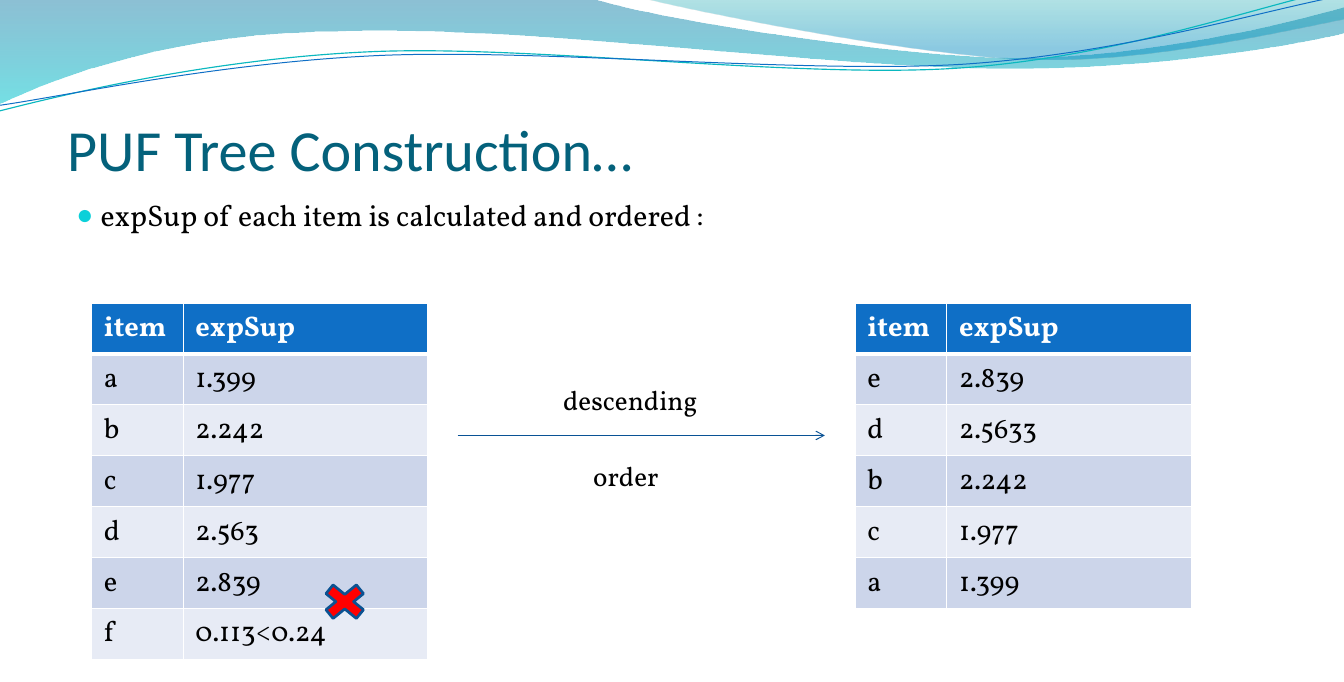
"""Build the PUF tree slide: waves, heading, two item tables and an arrow."""
from lxml import etree
from pptx import Presentation
from pptx.dml.color import RGBColor
from pptx.enum import shapes, text
from pptx.oxml import ns
from pptx.util import Pt

SERIF = "Vollkorn"
HEAD = ("item", "expSup")
TABLES = [
    (67.7, [("a", "1.399"), ("b", "2.242"), ("c", "1.977"), ("d", "2.563"),
            ("e", "2.839"), ("f", "0.113<0.24")]),
    (632.2, [("e", "2.839"), ("d", "2.5633"), ("b", "2.242"), ("c", "1.977"),
             ("a", "1.399")]),
]
COLS = (67.7, 180.7)
TOP, ROW = 223.9, 37.65
BANDS = ("CCD5EA", "E7EBF5")

TITLE = "PUF Tree Construction…"
POINT = "expSup of each item is calculated and ordered :"
LABELS = [("descending", 361.4, 280.1, 55), ("order", 376.6, 336.2, 62)]

BLADES = [
    ([(0, 0), (437.8, -0.7),
      (472.3, 11.5, 659.5, 42.5, 753.8, 42.5),
      (847.4, 42.5, 952.6, 17.3, 993.6, 5.8), (994.3, 24.5),
      (977, 29.5, 864, 51.1, 740.9, 50.4),
      (617.8, 50.4, 379.4, 18.7, 255.6, 23),
      (128.2, 23.8, 45.4, 55.4, -0.7, 76.3)],
     [(0, "0074A1", 45), (100, "00C6CF", 55)]),
    ([(475.9, -0.7),
      (506.2, 7.2, 677.5, 41.8, 763.9, 43.9),
      (850.3, 46.1, 955.4, 21.6, 993.6, 14.4), (993.6, 0)],
     [(0, "00A1A9", 30), (80, "008BBF", 45)]),
]
STRANDS = [
    ([(-0.7, 82.1),
      (47.5, 69.8, 157, 43.2, 275, 38.2),
      (393.1, 33.1, 588.2, 58.3, 707.8, 50.4),
      (827.3, 42.5, 932.4, 3.6, 992.2, -8.6)], "0AB8BF", 0.85),
    ([(0, 77.8),
      (46.8, 71.3, 162.7, 46.1, 281.5, 41),
      (400.3, 36, 593.3, 54.7, 712.1, 47.5),
      (830.9, 39.6, 935.3, 7.2, 994.3, -3.6)], "0F6FC6", 0.75),
]


def rgb(code):
    return RGBColor.from_string(code)


def node(root, tag, **attrs):
    return etree.SubElement(root, ns.qn("a:" + tag), attrs)


def wave(slide, steps, close):
    first, *rest = [tuple(map(Pt, step[-2:])) for step in steps]
    pen = slide.shapes.build_freeform(*first)
    pen.add_line_segments(rest, close=close)
    shape = pen.convert_to_shape()
    legs = list(shape.element.spPr.iter(ns.qn("a:lnTo")))
    for leg, step in zip(legs, steps[1:]):
        if len(step) == 6:
            bend = etree.Element(ns.qn("a:cubicBezTo"))
            for x, y in zip(step[::2], step[1::2]):
                node(bend, "pt", x=str(Pt(x) - shape.left), y=str(Pt(y) - shape.top))
            leg.getparent().replace(leg, bend)
    shape.shadow.inherit = False
    shape.fill.background()
    return shape


def shade(shape, stops):
    shape.line.fill.background()
    shape.fill.gradient()
    grad = shape.element.spPr.find(ns.qn("a:gradFill"))
    for child in list(grad):
        grad.remove(child)
    row = node(grad, "gsLst")
    for pos, code, alpha in stops:
        stop = node(row, "gs", pos=str(pos * 1000))
        node(node(stop, "srgbClr", val=code), "alpha", val=str(alpha * 1000))
    node(grad, "lin", ang="5400000", scaled="0")


def write(para, words, size, font=SERIF, code="000000", bold=False):
    run = para.add_run()
    run.text = words
    run.font.size, run.font.name, run.font.bold = Pt(size), font, bold
    run.font.color.rgb = rgb(code)


def frame(slide, box, pads):
    tf = slide.shapes.add_textbox(*map(Pt, box)).text_frame
    tf.word_wrap = True
    tf.margin_left, tf.margin_top, tf.margin_right, tf.margin_bottom = map(Pt, pads)
    return tf


def edge(cell, row):
    props = cell._tc.get_or_add_tcPr()
    for side in "LRTB":
        thick = (row, side) in ((0, "B"), (1, "T"))
        line = node(props, "ln" + side, w=str(Pt(3 if thick else 1)))
        node(node(line, "solidFill"), "srgbClr", val="FFFFFF")


def grid(slide, left, rows):
    count = len(rows) + 1
    table = slide.shapes.add_table(count, 2, Pt(left), Pt(TOP), Pt(sum(COLS)),
                                   Pt(ROW * count)).table
    for col, width in zip(table.columns, COLS):
        col.width = Pt(width)
    for r, row in enumerate([HEAD] + rows):
        table.rows[r].height = Pt(ROW)
        for c, words in enumerate(row):
            cell = table.cell(r, c)
            cell.margin_left = cell.margin_right = Pt(9.1)
            cell.margin_top = cell.margin_bottom = Pt(4.6)
            edge(cell, r)
            cell.fill.solid()
            cell.fill.fore_color.rgb = rgb(BANDS[(r - 1) % 2] if r else "0F6FC6")
            write(cell.text_frame.paragraphs[0], words, 21,
                  code="000000" if r else "FFFFFF", bold=r == 0)


def bullet(para):
    para.space_before = Pt(4.4)
    props = para._p.get_or_add_pPr()
    props.set("marL", str(Pt(18)))
    props.set("indent", str(Pt(-18)))
    node(node(props, "buClr"), "srgbClr", val="0BD0D9")
    node(props, "buSzPct", val="95000")
    node(props, "buFont", typeface="Arial")
    node(props, "buChar", char="●")


def main():
    deck = Presentation()
    deck.slide_width, deck.slide_height = Pt(993.6), Pt(504)
    slide = deck.slides.add_slide(deck.slide_layouts[6])

    for steps, stops in BLADES:
        shade(wave(slide, steps, True), stops)
    for steps, code, width in STRANDS:
        line = wave(slide, steps, False).line
        line.color.rgb, line.width = rgb(code), Pt(width)

    title = frame(slide, (49.7, 51.3, 894.2, 84.2), (0, 3.6, 0, 0))
    title.vertical_anchor = text.MSO_ANCHOR.BOTTOM
    write(title.paragraphs[0], TITLE, 43, "Calibri", "04617B")
    body = frame(slide, (49.3, 142, 894.2, 322.6), (7.2, 3.6, 7.2, 3.6))
    bullet(body.paragraphs[0])
    write(body.paragraphs[0], POINT, 22)

    for left, rows in TABLES:
        grid(slide, left, rows)

    arrow = slide.shapes.add_connector(shapes.MSO_CONNECTOR.STRAIGHT,
                                       *map(Pt, (338.4, 321.8, 609.8, 321.8)))
    arrow.line.color.rgb, arrow.line.width = rgb("095295"), Pt(0.75)
    node(arrow.line._get_or_add_ln(), "tailEnd", type="arrow")
    node(arrow.element.spPr, "effectLst")

    for words, left, top, pad in LABELS:
        label = frame(slide, (left, top, 233.3, 31.7), (pad, 3.6, 7.2, 3.6))
        write(label.paragraphs[0], words, 20)

    cross = slide.shapes.add_shape(shapes.MSO_SHAPE.MATH_MULTIPLY,
                                   *map(Pt, (233.3, 427, 43.2, 35.3)))
    cross.shadow.inherit = False
    cross.fill.solid()
    cross.fill.fore_color.rgb = rgb("FF0000")
    cross.line.color.rgb, cross.line.width = rgb("0B5292"), Pt(2)

    deck.save("out.pptx")


if __name__ == "__main__":
    main()
